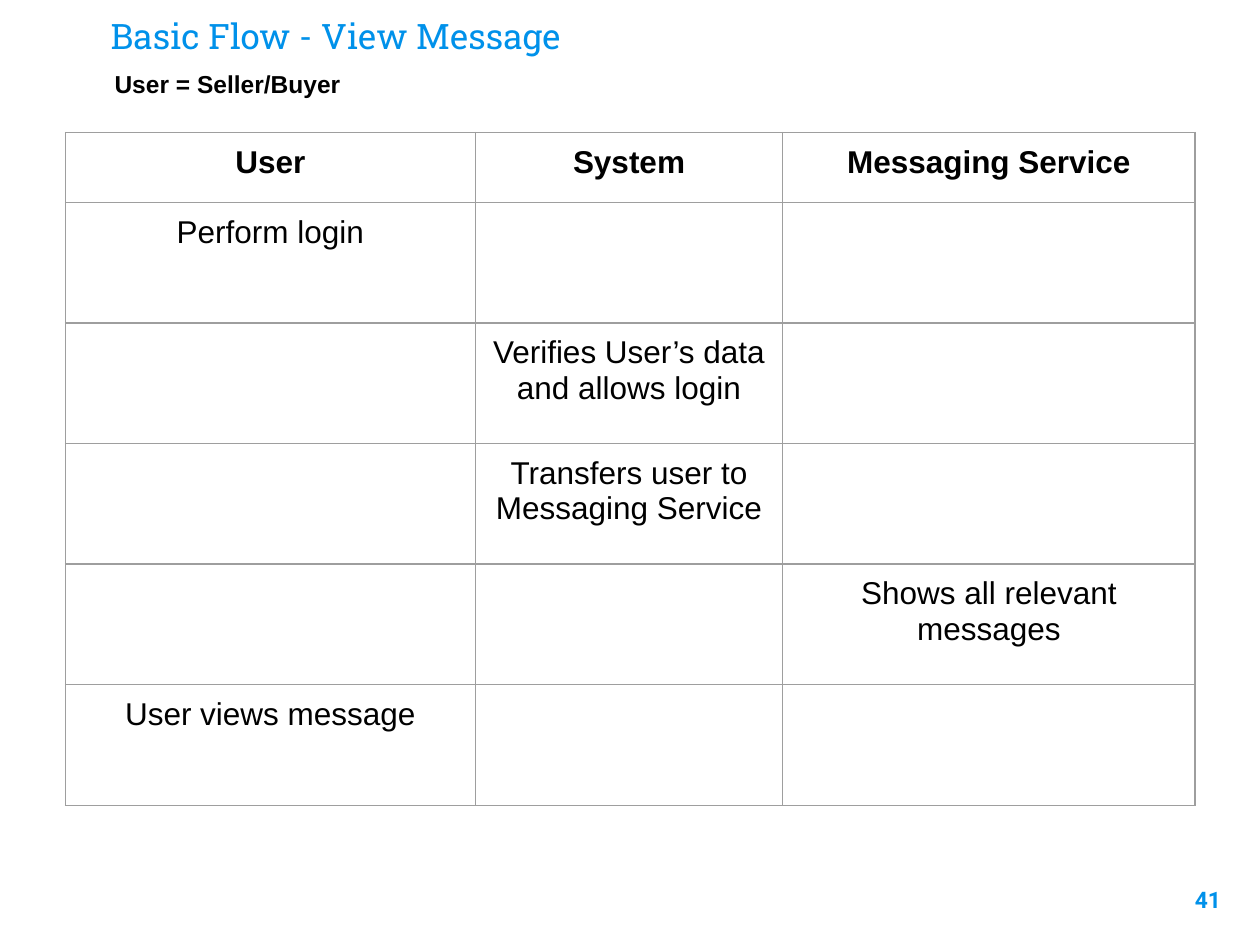
from lxml import etree
from pptx import Presentation
from pptx.dml.color import RGBColor
from pptx.enum import text
from pptx.oxml.ns import qn
from pptx.util import Cm, Pt

BLUE, BLACK, GREY = "0091EA", "000000", "9E9E9E"
MARGIN = Cm(0.25)
COLUMNS = [8.26, 6.2, 8.31]
HEADER_HEIGHT, STEP_HEIGHT = 1.41, 2.43
HEADERS = ["User", "System", "Messaging Service"]
STEPS = [
    (0, "Perform login"),
    (1, "Verifies User’s data and allows login"),
    (1, "Transfers user to Messaging Service"),
    (2, "Shows all relevant messages"),
    (0, "User views message"),
]


def color(value):
    return RGBColor.from_string(value)


def set_margins(obj):
    obj.margin_left = obj.margin_right = MARGIN
    obj.margin_top = obj.margin_bottom = MARGIN


def write(tf, words, font, size, fill, bold=False, align=text.PP_ALIGN.LEFT):
    tf.text = words
    p = tf.paragraphs[0]
    p.alignment = align
    p.font.size = Pt(size)
    for r in p.runs:
        r.font.name = font
        r.font.size = Pt(size)
        r.font.bold = bold
        r.font.color.rgb = color(fill)


def add_title(slide, words):
    sp = slide.shapes.title
    sp.left, sp.top, sp.width, sp.height = Cm(1.98), Cm(0.08), Cm(21.03), Cm(1.3)
    tf = sp.text_frame
    set_margins(tf)
    tf.auto_size = text.MSO_AUTO_SIZE.NONE
    tf.vertical_anchor = text.MSO_ANCHOR.BOTTOM
    write(tf, words, "Roboto Slab", 20, BLUE)


def add_text(slide, box, words, *style):
    sp = slide.shapes.add_textbox(*map(Cm, box))
    tf = sp.text_frame
    tf.word_wrap = True
    set_margins(tf)
    write(tf, words, *style)


def set_borders(cell):
    tc_pr = cell._tc.get_or_add_tcPr()
    for i, side in enumerate(("lnL", "lnR", "lnT", "lnB")):
        ln = etree.Element(qn("a:" + side), w=str(Pt(0.75)))
        fill = etree.SubElement(ln, qn("a:solidFill"))
        etree.SubElement(fill, qn("a:srgbClr"), val=GREY)
        tc_pr.insert(i, ln)


def add_flow_table(slide):
    height = HEADER_HEIGHT + STEP_HEIGHT * len(STEPS)
    table = slide.shapes.add_table(
        len(STEPS) + 1, len(COLUMNS), Cm(1.32), Cm(2.67), Cm(sum(COLUMNS)), Cm(height)
    ).table
    table.first_row = table.horz_banding = False
    for column, width in zip(table.columns, COLUMNS):
        column.width = Cm(width)
    for i, row in enumerate(table.rows):
        row.height = Cm(STEP_HEIGHT if i else HEADER_HEIGHT)
    for cell in table.iter_cells():
        set_margins(cell)
        cell.fill.background()
        set_borders(cell)
    center = text.PP_ALIGN.CENTER
    for j, header in enumerate(HEADERS):
        write(table.cell(0, j).text_frame, header, "Arial", 18, BLACK, True, center)
    for i, (j, step) in enumerate(STEPS, 1):
        write(table.cell(i, j).text_frame, step, "Arial", 18, BLACK, False, center)


def main():
    prs = Presentation()
    prs.slide_width, prs.slide_height = Cm(25.4), Cm(19.05)
    slide = prs.slides.add_slide(prs.slide_layouts[5])
    add_text(slide, (23.34, 17.6, 1.52, 1.45), "41",
             "Roboto", 13, BLUE, True, text.PP_ALIGN.RIGHT)
    add_title(slide, "Basic Flow - View Message")
    add_flow_table(slide)
    add_text(slide, (2.06, 1.14, 13.72, 1.02), "User = Seller/Buyer",
             "Arial", 14, BLACK, True)
    prs.save("out.pptx")


if __name__ == "__main__":
    main()
